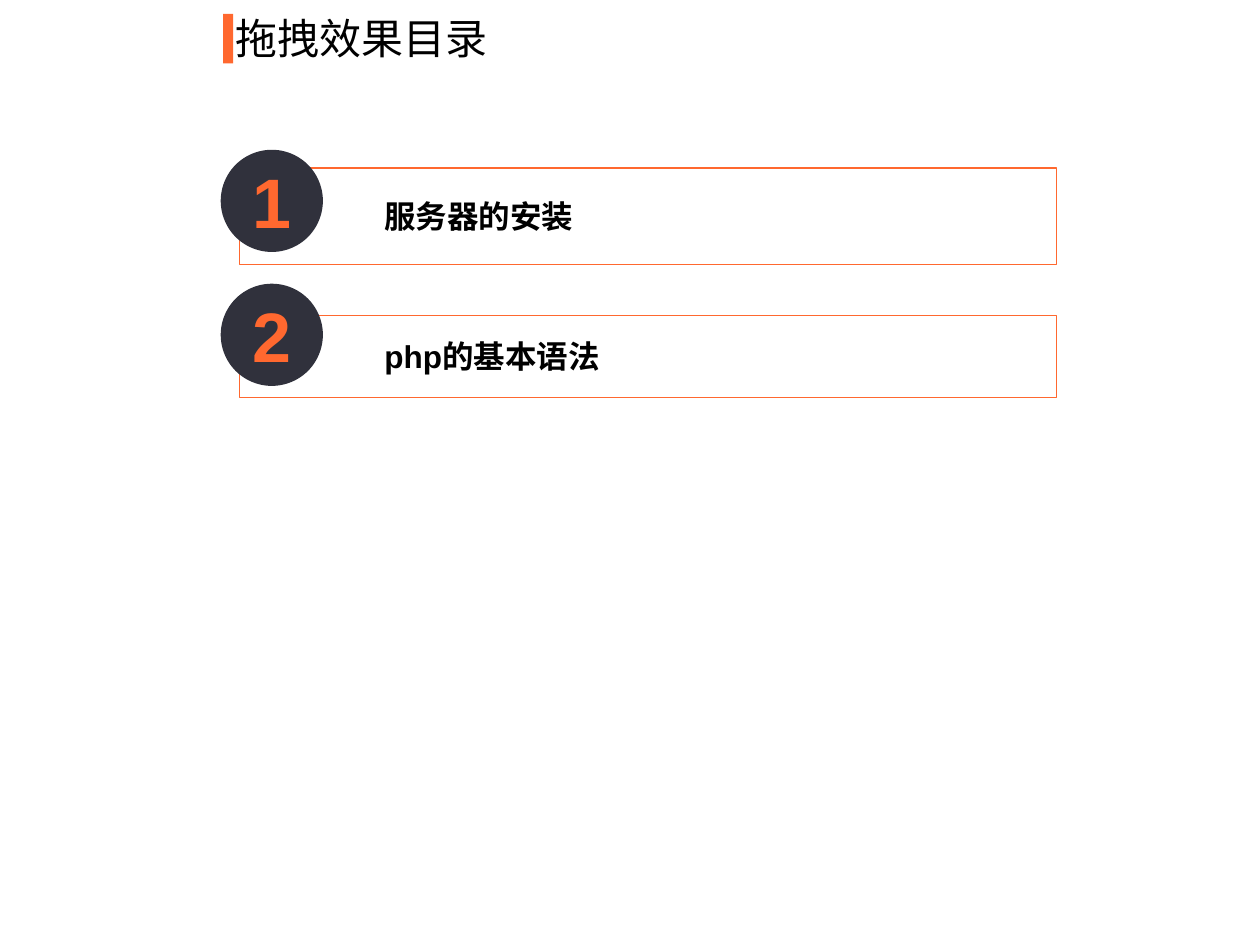
"""Build the contents slide with two numbered, outlined entries."""
from dataclasses import dataclass

import pptx
import pptx.dml.color
import pptx.enum.shapes
import pptx.enum.text
import pptx.oxml.ns
import pptx.util
from lxml import etree

Cm = pptx.util.Cm
RGBColor = pptx.dml.color.RGBColor
Shape = pptx.enum.shapes.MSO_SHAPE
Anchor = pptx.enum.text.MSO_ANCHOR
Align = pptx.enum.text.PP_ALIGN
qn = pptx.oxml.ns.qn

ORANGE = RGBColor(0xFF, 0x68, 0x2F)
DARK = RGBColor(0x30, 0x31, 0x3C)
WHITE = RGBColor(0xFF, 0xFF, 0xFF)
BLACK = RGBColor(0x00, 0x00, 0x00)

LATIN = "Arial"
CHINESE = "Noto Sans CJK SC"

CARD_LEFT, CARD_WIDTH = 4.83, 16.47
CIRCLE_LEFT, CIRCLE_SIZE = 4.45, 2.06
FIRST_CIRCLE_TOP, CIRCLE_STEP = 3.02, 2.7


@dataclass
class Entry:
    label: str
    top: float
    height: float


ENTRIES = [
    Entry("服务器的安装", 3.39, 1.94),
    Entry("php的基本语法", 6.36, 1.65),
]


def add_filled(page, kind: Shape, left: float, top: float, width: float,
               height: float, color: RGBColor):
    shape = page.shapes.add_shape(kind, Cm(left), Cm(top), Cm(width), Cm(height))
    shape.shadow.inherit = False
    shape.fill.solid()
    shape.fill.fore_color.rgb = color
    shape.line.fill.background()
    return shape


def write(shape, text: str, size: int, color: RGBColor, align: Align,
          face: str = LATIN, bold: bool = False):
    paragraph = shape.text_frame.paragraphs[0]
    paragraph.text = text
    paragraph.alignment = align
    font = paragraph.font
    font.name, font.size, font.bold = face, pptx.util.Pt(size), bold
    font.color.rgb = color
    etree.SubElement(font._element, qn("a:ea"), typeface=CHINESE)
    return paragraph


def add_title(page, text: str) -> None:
    add_filled(page, Shape.RECTANGLE, 4.5, 0.28, 0.2, 1, ORANGE)
    box = page.shapes.add_textbox(Cm(4.5), Cm(0.13), Cm(10.2), Cm(1.28))
    box.text_frame.word_wrap = True
    write(box, text, 24, BLACK, Align.LEFT, CHINESE)


def add_card(page, entry: Entry) -> None:
    card = add_filled(page, Shape.RECTANGLE, CARD_LEFT, entry.top,
                      CARD_WIDTH, entry.height, WHITE)
    color = card.fill._xPr.find(qn("a:solidFill"))[0]
    etree.SubElement(color, qn("a:alpha"), val="40000")
    card.line.color.rgb = ORANGE
    card.line.width = pptx.util.Pt(0.75)
    frame = card.text_frame
    frame.word_wrap = True
    frame.vertical_anchor = Anchor.MIDDLE
    frame.margin_left = Cm(1.65)
    frame.margin_top = frame.margin_right = frame.margin_bottom = Cm(0.2)
    paragraph = write(card, entry.label, 18, BLACK, Align.LEFT, bold=True)
    paragraph.level = 1
    properties = paragraph._p.get_or_add_pPr()
    properties.set("marL", str(Cm(1.27)))
    properties.set("indent", "0")


def add_number(page, number: int) -> None:
    top = FIRST_CIRCLE_TOP + (number - 1) * CIRCLE_STEP
    circle = add_filled(page, Shape.OVAL, CIRCLE_LEFT, top,
                        CIRCLE_SIZE, CIRCLE_SIZE, DARK)
    circle.text_frame.vertical_anchor = Anchor.MIDDLE
    write(circle, str(number), 40, ORANGE, Align.CENTER, bold=True)


def main() -> None:
    deck = pptx.Presentation()
    deck.slide_width, deck.slide_height = Cm(25.4), Cm(19.05)
    page = deck.slides.add_slide(deck.slide_layouts[6])
    add_title(page, "拖拽效果目录")
    for number, entry in enumerate(ENTRIES, start=1):
        add_card(page, entry)
        add_number(page, number)
    deck.save("out.pptx")


if __name__ == "__main__":
    main()
